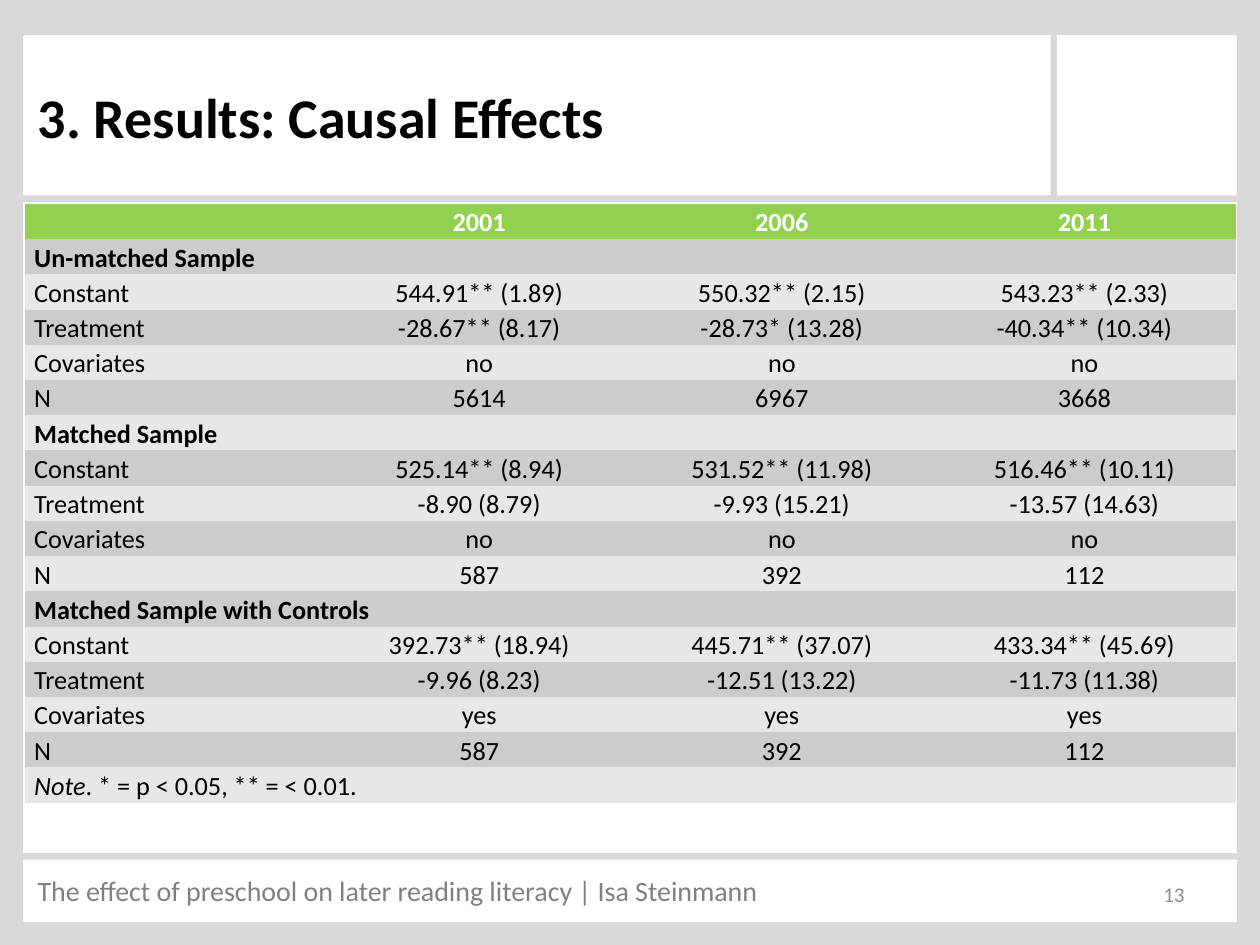
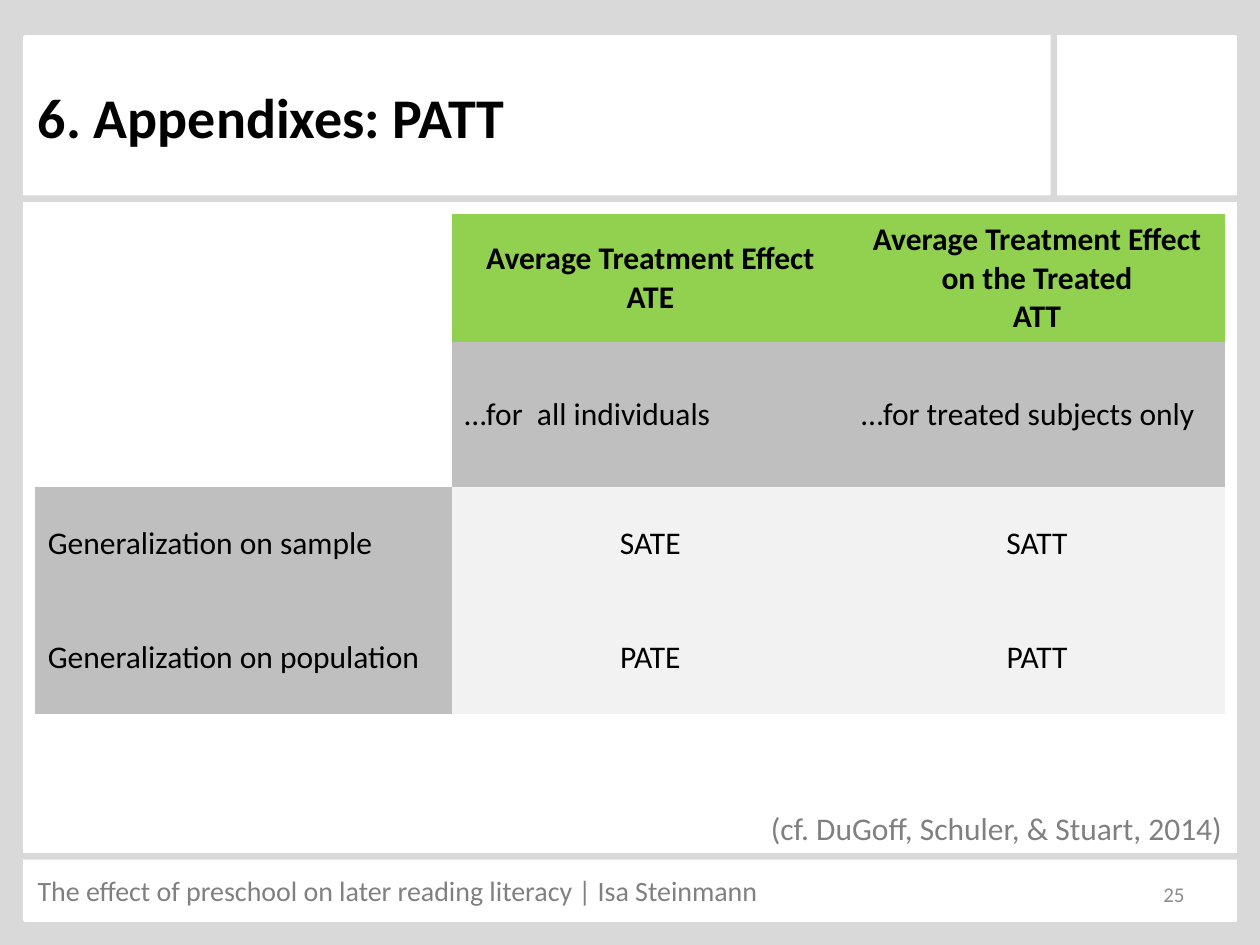
import pptx
import pptx.util
import pptx.dml.color
import pptx.enum.text
import pptx.oxml.ns
from dataclasses import dataclass

Cm, Pt = pptx.util.Cm, pptx.util.Pt
Align = pptx.enum.text.PP_ALIGN
Anchor = pptx.enum.text.MSO_ANCHOR
PLAIN = "{2D5ABB26-0587-4C30-8999-92F81FD0307C}"  # table style without grid


@dataclass(frozen=True)
class Theme:
    font: str = "Calibri"
    back: str = "D9D9D9"
    white: str = "FFFFFF"
    black: str = "000000"
    green: str = "92D050"
    dark: str = "CCCCCC"
    light: str = "E7E7E7"
    label: str = "BFBFBF"
    pale: str = "F2F2F2"
    muted: str = "808080"
    page: str = "8C8C8C"
    head_size: int = 32
    body_size: int = 18
    foot_size: int = 16
    data_size: int = 15
    page_size: int = 12


def rgb(code):
    return pptx.dml.color.RGBColor.from_string(code)


class Deck:
    def __init__(self, theme):
        self.theme = theme
        self.file = pptx.Presentation()
        self.file.slide_width, self.file.slide_height = Cm(25.4), Cm(19.05)
        self.paint(self.file.slide_master.background.fill, theme.back)
        self.slide = None

    def paint(self, fill, color):
        fill.solid()
        fill.fore_color.rgb = rgb(color)

    def style(self, par, size, color, bold=False, align=Align.LEFT):
        par.alignment = align
        font = par.font
        font.name, font.size, font.bold = self.theme.font, Pt(size), bold
        font.color.rgb = rgb(color)

    def panel(self, left, top, width, height, color):
        box = self.slide.shapes.add_shape(
            pptx.enum.shapes.MSO_SHAPE.RECTANGLE, Cm(left), Cm(top), Cm(width), Cm(height))
        box.shadow.inherit = False
        self.paint(box.fill, color)
        box.line.fill.background()
        return box

    def text(self, place, words, size, color, align=Align.LEFT,
             anchor=Anchor.TOP, wrap=True):
        box = self.slide.shapes.add_textbox(*map(Cm, place))
        frame = box.text_frame
        frame.word_wrap, frame.vertical_anchor = wrap, anchor
        frame.text = words
        self.style(frame.paragraphs[0], size, color, align=align)

    def title(self, words):
        box = self.slide.shapes.title
        box.left, box.top, box.width, box.height = map(Cm, (0.51, 0.76, 20.6, 3.18))
        frame = box.text_frame
        frame.text, frame.vertical_anchor = words, Anchor.MIDDLE
        self.style(frame.paragraphs[0], self.theme.head_size, self.theme.black, True)
        # Bring the title in front of the white panel
        self.slide.shapes._spTree.append(box._element)

    def page(self, words, number):
        look = self.theme
        self.slide = self.file.slides.add_slide(self.file.slide_layouts[5])
        # White panel, cut by three bars
        sheet = self.panel(0.51, 0.74, 24.4, 17.81, look.white)
        self.paint(sheet.line.fill, look.white)
        sheet.line.width = Pt(2)
        for place in ((0, 17.2, 25.4, 0.13), (0.2, 3.94, 25.1, 0.13),
                      (21.18, 0.11, 0.13, 3.91)):
            self.panel(*place, look.back)
        # Footer and page number
        self.text((0.51, 17.48, 22, 1.63),
                  "The effect of preschool on later reading literacy | Isa Steinmann",
                  look.foot_size, look.muted)
        self.text((18.21, 17.51, 5.92, 1.02), str(number), look.page_size,
                  look.page, Align.RIGHT, Anchor.MIDDLE)
        self.title(words)

    def table(self, left, top, cols, rows):
        frame = self.slide.shapes.add_table(
            len(rows), len(cols), Cm(left), Cm(top), Cm(sum(cols)), Cm(sum(rows)))
        grid = frame.table
        grid.first_row = grid.horz_banding = False
        grid._tbl.tblPr.find(pptx.oxml.ns.qn("a:tableStyleId")).text = PLAIN
        for col, width in zip(grid.columns, cols):
            col.width = Cm(width)
        for row, height in zip(grid.rows, rows):
            row.height = Cm(height)
        return grid

    def cell(self, cell, words, fill, size, color, bold=False,
             align=Align.LEFT, tight=False):
        self.paint(cell.fill, fill)
        cell.vertical_anchor = Anchor.MIDDLE
        cell.text = words
        if tight:
            cell.margin_left = cell.margin_right = Cm(0.18)
            cell.margin_top = cell.margin_bottom = 0
        for par in cell.text_frame.paragraphs:
            self.style(par, size, color, bold, align)
            if tight:
                par.line_spacing = Pt(20)


EFFECTS = [
    ("", "2001", "2006", "2011"),
    ("Un-matched Sample",),
    ("Constant", "544.91** (1.89)", "550.32** (2.15)", "543.23** (2.33)"),
    ("Treatment", "-28.67** (8.17)", "-28.73* (13.28)", "-40.34** (10.34)"),
    ("Covariates", "no", "no", "no"),
    ("N", "5614", "6967", "3668"),
    ("Matched Sample",),
    ("Constant", "525.14** (8.94)", "531.52** (11.98)", "516.46** (10.11)"),
    ("Treatment", "-8.90 (8.79)", "-9.93 (15.21)", "-13.57 (14.63)"),
    ("Covariates", "no", "no", "no"),
    ("N", "587", "392", "112"),
    ("Matched Sample with Controls",),
    ("Constant", "392.73** (18.94)", "445.71** (37.07)", "433.34** (45.69)"),
    ("Treatment", "-9.96 (8.23)", "-12.51 (13.22)", "-11.73 (11.38)"),
    ("Covariates", "yes", "yes", "yes"),
    ("N", "587", "392", "112"),
    ("",),
]

TERMS = [
    ("", "Average Treatment Effect\nATE",
     "Average Treatment Effect on the Treated\nATT"),
    ("", "…for  all individuals", "…for treated subjects only"),
    ("Generalization on sample", "SATE", "SATT"),
    ("Generalization on population", "PATE", "PATT"),
]


def effects(deck):
    look = deck.theme
    deck.page("3. Results: Causal Effects", 13)
    grid = deck.table(0.51, 4.11, [6.1] * 4, [0.71] * len(EFFECTS))
    for r, row in enumerate(EFFECTS):
        head, group = r == 0, len(row) == 1
        fill = look.green if head else look.dark if r % 2 else look.light
        if group:
            grid.cell(r, 0).merge(grid.cell(r, 3))
        for c, words in enumerate(row):
            deck.cell(grid.cell(r, c), words, fill, look.data_size,
                      look.white if head else look.black, head or group,
                      Align.CENTER if c else Align.JUSTIFY, tight=True)
    # Note in the last row, first word in italics
    note = grid.cell(len(EFFECTS) - 1, 0).text_frame.paragraphs[0]
    note.font.bold = False
    for words, slant in (("Note", True), (". * = p < 0.05, ** = < 0.01.", False)):
        run = note.add_run()
        run.text, run.font.italic = words, slant


def terms(deck):
    look = deck.theme
    deck.page("6. Appendixes: PATT", 25)
    grid = deck.table(0.71, 4.32, [8.4, 8, 7.59], [2.58, 2.92, 2.3, 2.28])
    for r, row in enumerate(TERMS):
        for c, words in enumerate(row):
            if c == 0:
                fill = look.label if words else look.white
            else:
                fill = (look.green, look.label, look.pale, look.pale)[r]
            deck.cell(grid.cell(r, c), words, fill, look.body_size, look.black,
                      r == 0, Align.CENTER if c and r != 1 else Align.LEFT)
    # Citation
    deck.text((15.29, 16.18, 9.73, 1.02), "(cf. DuGoff, Schuler, & Stuart, 2014)",
              look.body_size, look.muted, wrap=False)


def main():
    deck = Deck(Theme())
    effects(deck)
    terms(deck)
    deck.file.save("out.pptx")


if __name__ == "__main__":
    main()
